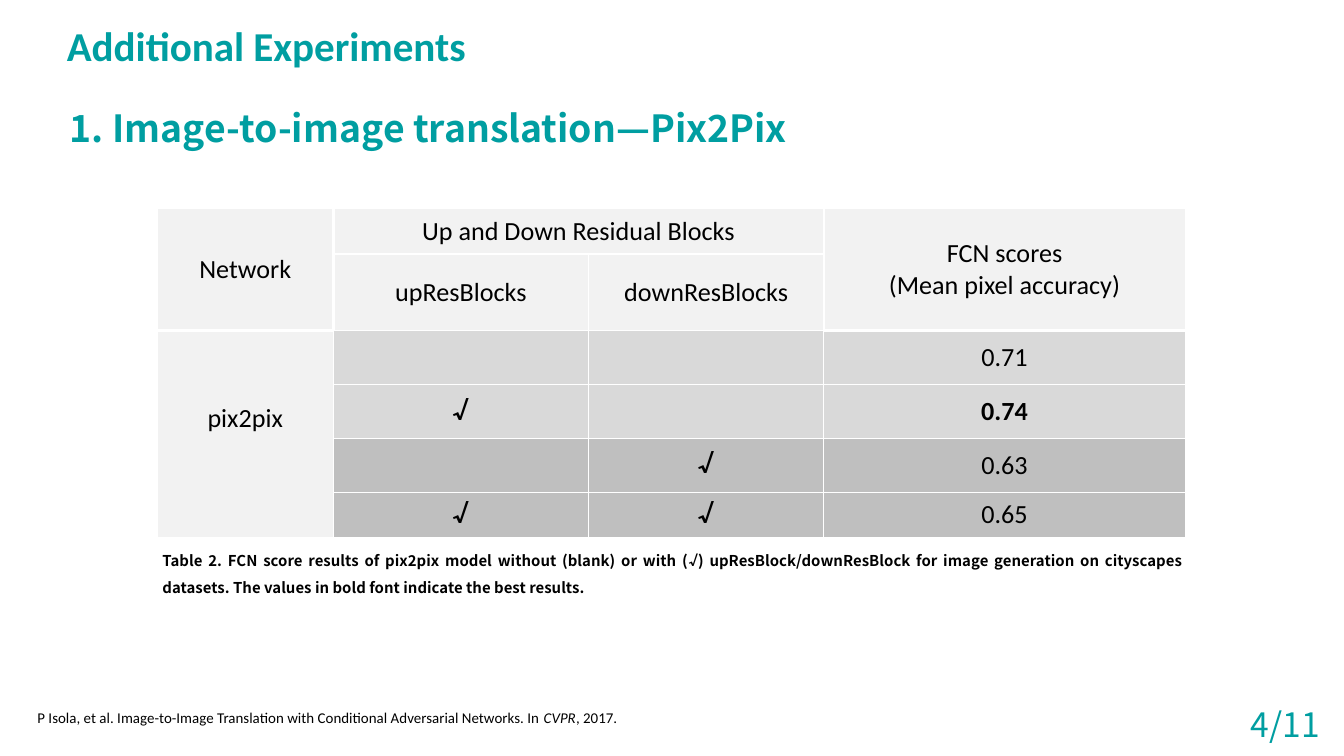
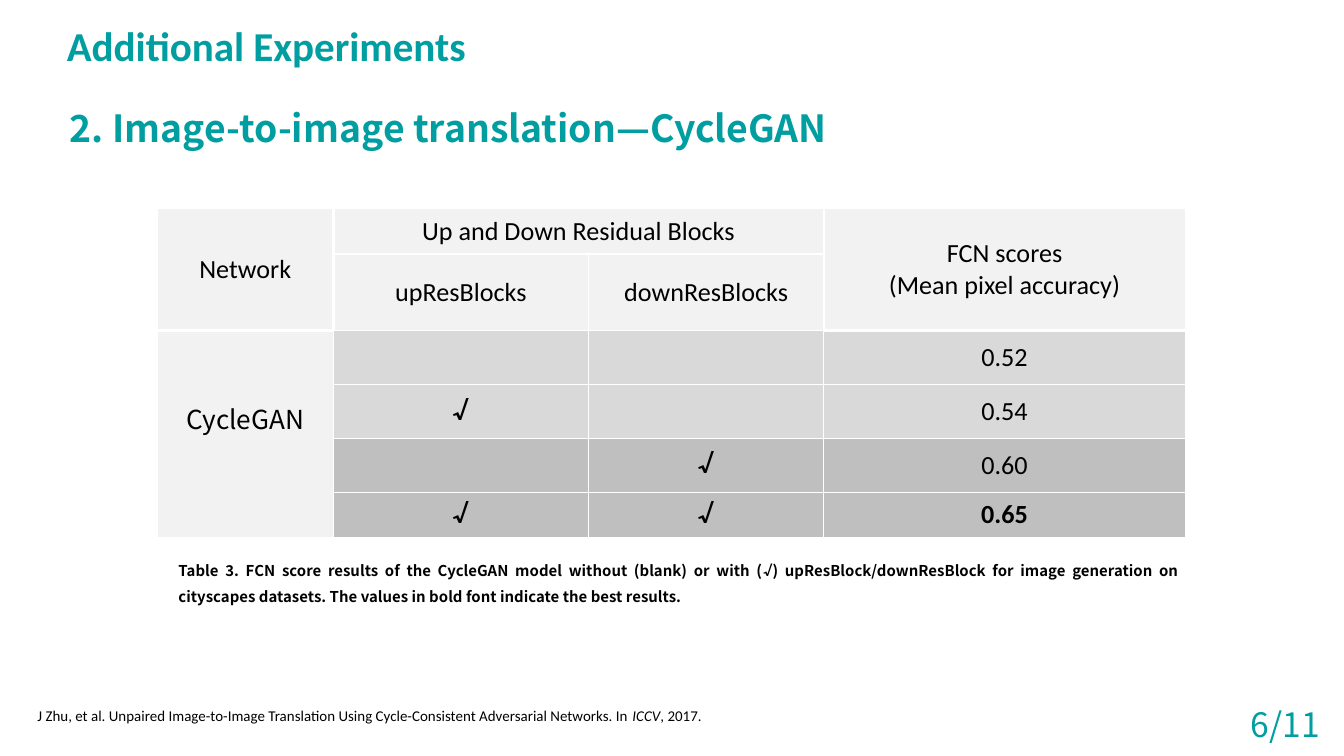
from itertools import product

from lxml.etree import SubElement
from pptx import Presentation
from pptx.dml.color import RGBColor
from pptx.enum.text import MSO_ANCHOR, MSO_AUTO_SIZE, PP_ALIGN
from pptx.oxml.ns import qn
from pptx.util import Pt

TEAL, BLACK, WHITE = "009EA1", "000000", "FFFFFF"
HEADER_GREY, LIGHT_GREY, DARK_GREY = "F2F2F2", "D9D9D9", "BFBFBF"
BODY, HEADING, CHECK_FONT = "Calibri", "Noto Sans CJK SC", "Karla"
CHECK = "√"

COLUMN_WIDTHS = (94.32, 136.8, 126, 193.68)
ROW_HEIGHTS = (24.48, 41.04, 24, 24.48, 24.48, 24.48)
THIN, THICK = 0.45, 1.47
THICK_SIDES = {(0, 0): "RB", (0, 1): "B", (0, 3): "LB", (1, 1): "LT",
               (1, 2): "TR", (2, 0): "T", (2, 3): "T"}
BLOCK_CHOICES = ((False, False), (True, False), (False, True), (True, True))


def rgb(code):
    return RGBColor.from_string(code)


def write(paragraph, text, size=14, font=BODY, color=BLACK, bold=False, italic=False):
    run = paragraph.add_run()
    run.text = text
    run.font.size = Pt(size)
    run.font.name = font
    run.font.color.rgb = rgb(color)
    run.font.bold = bold
    run.font.italic = italic


def add_text(slide, left, top, width, height, runs, wrap=True, justified=False, **style):
    frame = slide.shapes.add_textbox(Pt(left), Pt(top), Pt(width), Pt(height)).text_frame
    frame.word_wrap = wrap
    frame.auto_size = MSO_AUTO_SIZE.SHAPE_TO_FIT_TEXT
    paragraph = frame.paragraphs[0]
    if justified:
        paragraph.alignment = PP_ALIGN.JUSTIFY
        paragraph.line_spacing = 1.5
        paragraph.space_after = Pt(12)
    for text, changes in runs:
        write(paragraph, text, **{**style, **changes})


def set_borders(cell, thick_sides):
    properties = cell._tc.get_or_add_tcPr()
    for side in "LRTB":
        width = Pt(THICK if side in thick_sides else THIN)
        border = SubElement(properties, qn(f"a:ln{side}"), w=str(int(width)))
        fill = SubElement(border, qn("a:solidFill"))
        SubElement(fill, qn("a:srgbClr"), val=WHITE)


def fill_cell(cell, *lines, **style):
    cell.vertical_anchor = MSO_ANCHOR.MIDDLE
    frame = cell.text_frame
    for index, line in enumerate(lines):
        paragraph = frame.add_paragraph() if index else frame.paragraphs[0]
        paragraph.alignment = PP_ALIGN.CENTER
        write(paragraph, line, **style)


def cell_color(row, column):
    if row < 2 or column == 0:
        return HEADER_GREY
    return LIGHT_GREY if row < 4 else DARK_GREY


def add_scores(slide, network, network_font, scores):
    table = slide.shapes.add_table(
        len(ROW_HEIGHTS), len(COLUMN_WIDTHS), Pt(84.24), Pt(111.6),
        Pt(sum(COLUMN_WIDTHS)), Pt(sum(ROW_HEIGHTS))).table
    table.first_row = table.horz_banding = False
    for column, width in zip(table.columns, COLUMN_WIDTHS):
        column.width = Pt(width)
    for row, height in zip(table.rows, ROW_HEIGHTS):
        row.height = Pt(height)
    for place in product(range(len(ROW_HEIGHTS)), range(len(COLUMN_WIDTHS))):
        cell = table.cell(*place)
        set_borders(cell, THICK_SIDES.get(place, ""))
        cell.fill.solid()
        cell.fill.fore_color.rgb = rgb(cell_color(*place))
    for first, last in (((0, 0), (1, 0)), ((0, 1), (0, 2)),
                        ((0, 3), (1, 3)), ((2, 0), (5, 0))):
        table.cell(*first).merge(table.cell(*last))

    fill_cell(table.cell(0, 0), "Network")
    fill_cell(table.cell(0, 1), "Up and Down Residual Blocks")
    fill_cell(table.cell(0, 3), "FCN scores", "(Mean pixel accuracy)")
    fill_cell(table.cell(1, 1), "upResBlocks")
    fill_cell(table.cell(1, 2), "downResBlocks")
    network_cell = table.cell(2, 0)
    fill_cell(network_cell, network, font=network_font)
    network_cell.margin_bottom = Pt(20.7)

    best = max(scores, key=float)
    for row, (choices, score) in enumerate(zip(BLOCK_CHOICES, scores), start=2):
        for column, chosen in enumerate(choices, start=1):
            if chosen:
                fill_cell(table.cell(row, column), CHECK, font=CHECK_FONT, bold=True)
        fill_cell(table.cell(row, 3), score, bold=score == best)


def add_caption(slide, left, top, width, opening):
    runs = ((f"{opening} model without (blank) or with (", {}),
            (CHECK, {"font": CHECK_FONT}),
            (") upResBlock/downResBlock for image generation on cityscapes datasets. "
             "The values in bold font indicate the best results.", {}))
    add_text(slide, left, top, width, 36, runs, justified=True,
             size=8, font=HEADING, bold=True)


def add_reference(slide, top, citation, venue):
    runs = ((f"{citation} In ", {}), (venue, {"italic": True}), (", 2017.", {}))
    add_text(slide, 12.96, top, 654.48, 17.28, runs, size=8)


def add_experiment(deck, heading, page):
    slide = deck.slides.add_slide(deck.slide_layouts[6])
    add_text(slide, 30.24, 41.04, 666, 43.2, [(heading, {})], justified=True,
             size=20, font=HEADING, color=TEAL, bold=True)
    add_text(slide, 28.8, 7.2, 228.24, 33.84, [("Additional Experiments", {})],
             wrap=False, size=22, color=TEAL, bold=True)
    add_text(slide, 663.12, 373.68, 57.6, 28.8, [(f"{page}/11", {})],
             wrap=False, size=18, font=HEADING, color=TEAL)
    return slide


def main():
    deck = Presentation()
    deck.slide_width, deck.slide_height = Pt(720), Pt(405)

    pix2pix = add_experiment(deck, "1. Image-to-image translation—Pix2Pix", 4)
    add_scores(pix2pix, "pix2pix", BODY, ("0.71", "0.74", "0.63", "0.65"))
    add_caption(pix2pix, 79.92, 287.28, 560.88,
                "Table 2. FCN score results of pix2pix")
    add_reference(pix2pix, 375.84,
                  "P Isola, et al. Image-to-Image Translation with Conditional "
                  "Adversarial Networks.", "CVPR")

    cyclegan = add_experiment(deck, "2. Image-to-image translation—CycleGAN", 6)
    add_scores(cyclegan, "CycleGAN", HEADING, ("0.52", "0.54", "0.60", "0.65"))
    add_caption(cyclegan, 88.56, 292.32, 550.08,
                "Table 3. FCN score results of the CycleGAN")
    add_reference(cyclegan, 375.12,
                  "J Zhu, et al. Unpaired Image-to-Image Translation Using "
                  "Cycle-Consistent Adversarial Networks.", "ICCV")

    deck.save("out.pptx")


if __name__ == "__main__":
    main()
